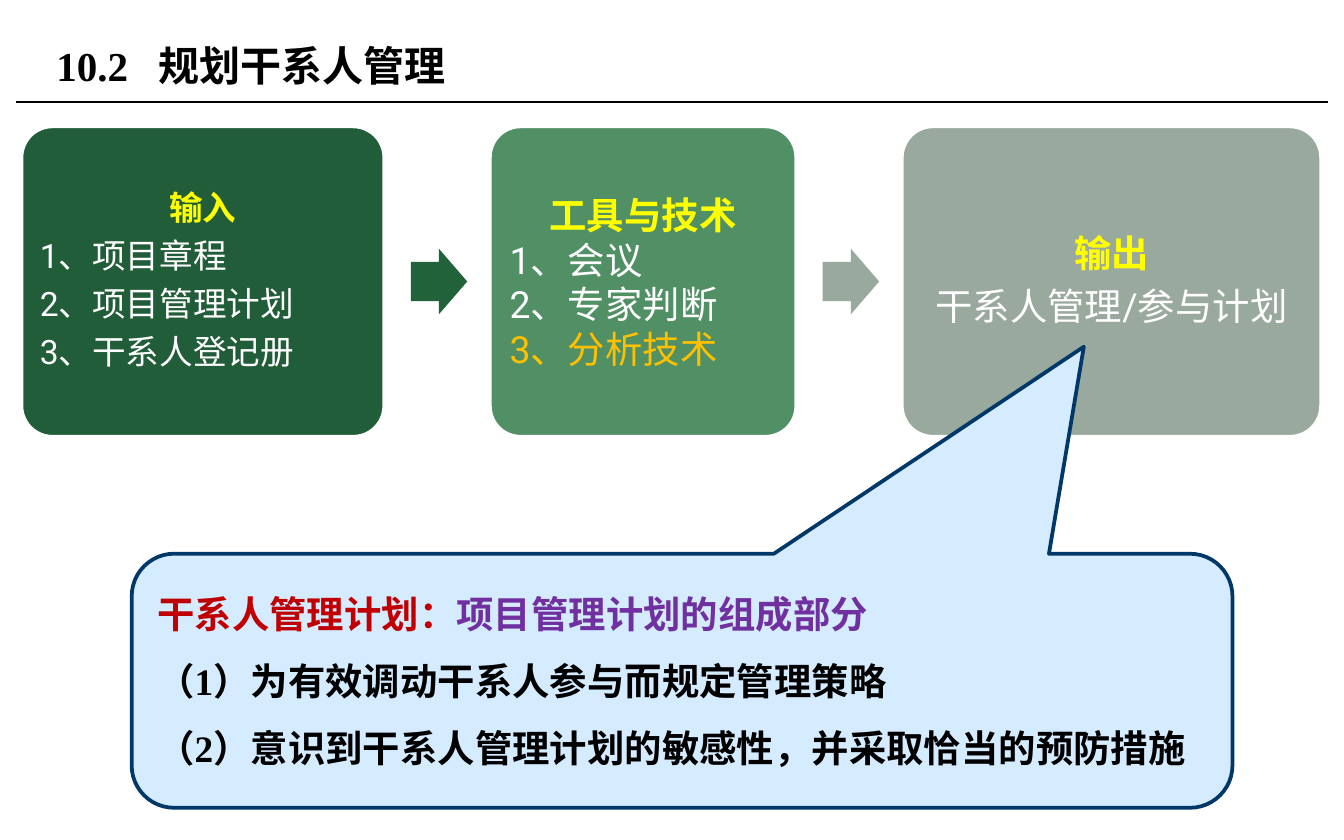
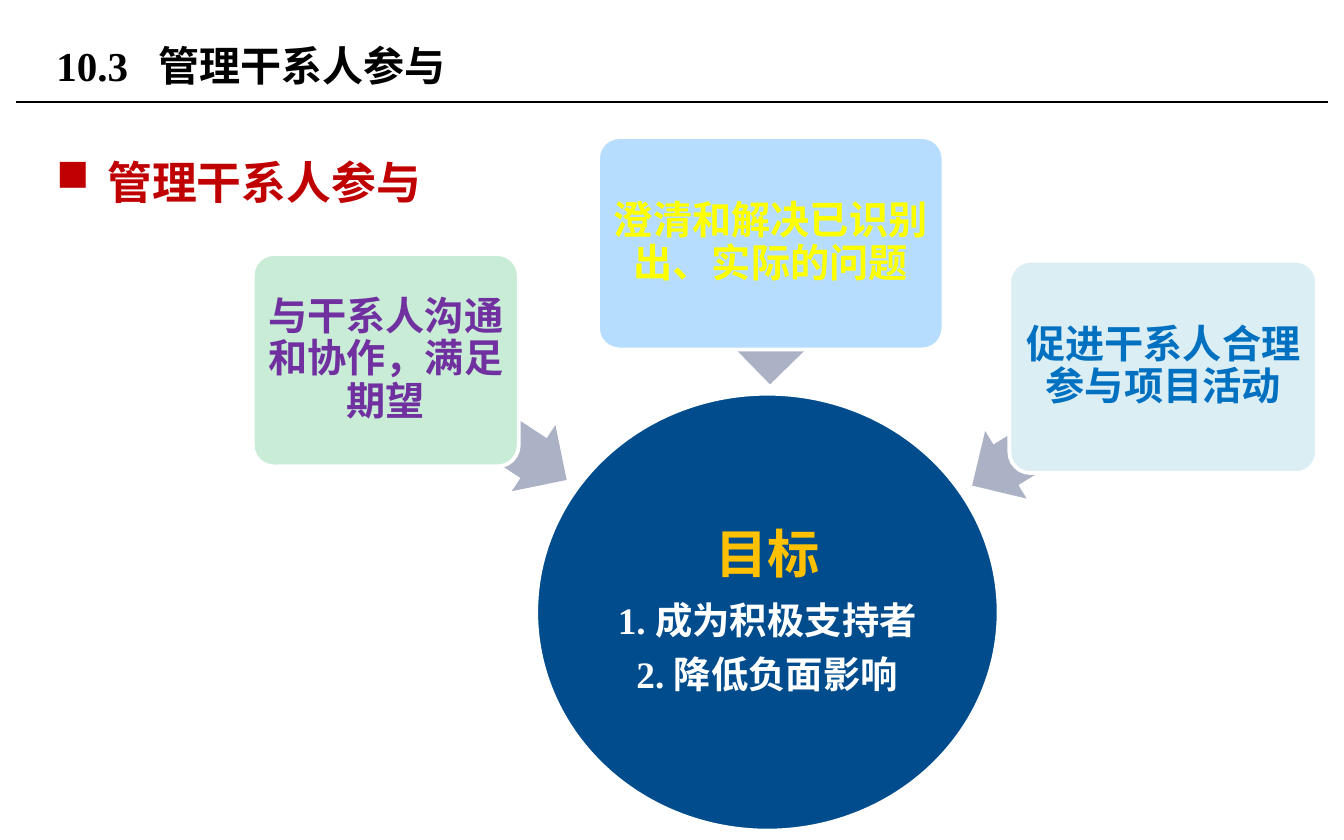
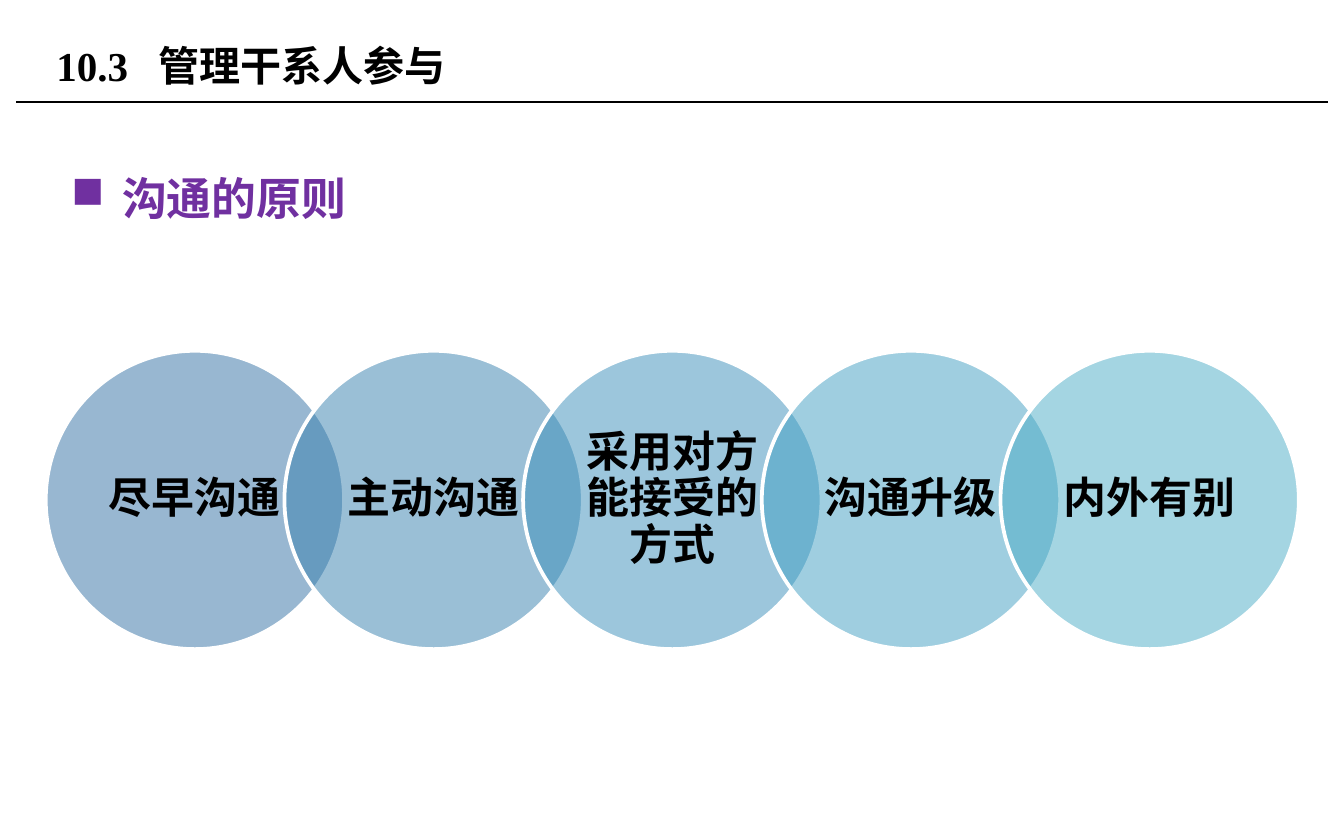
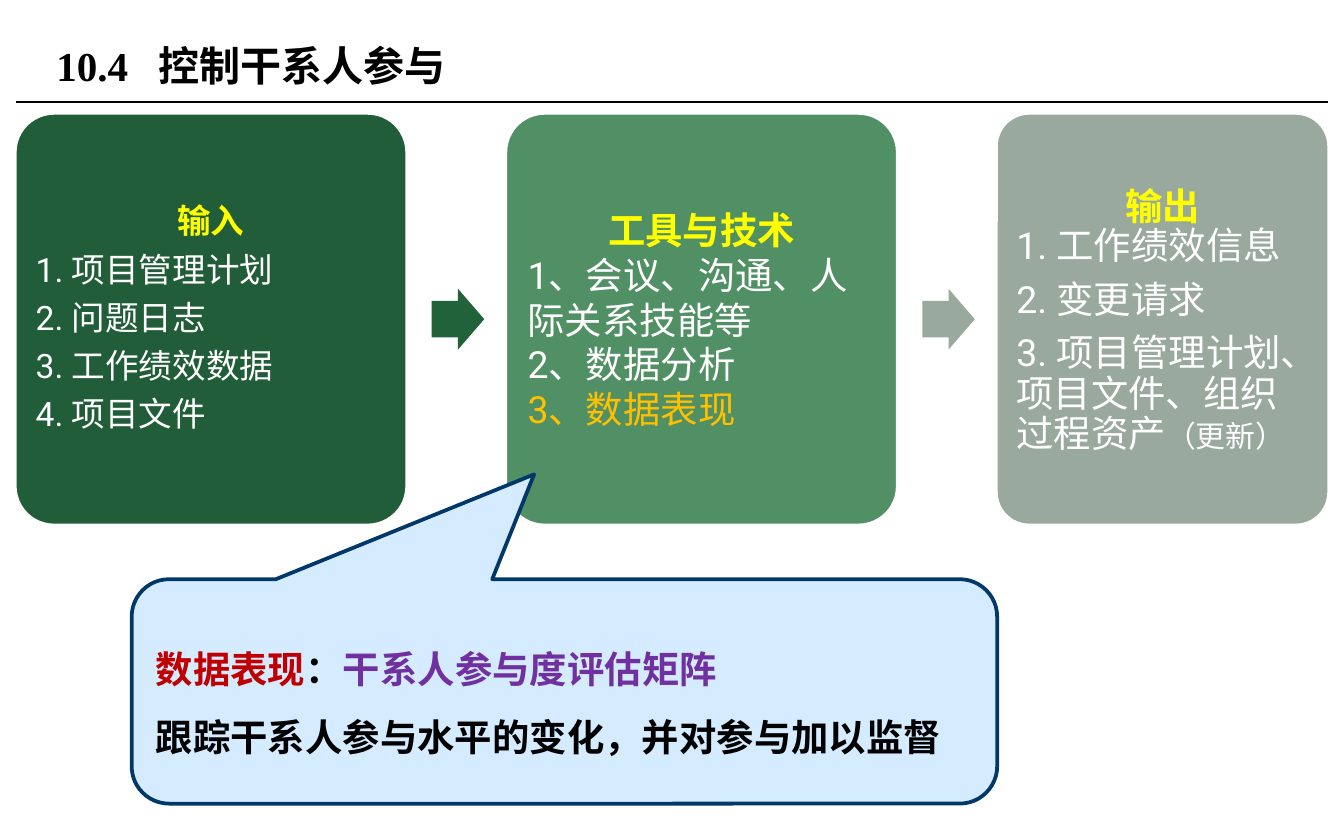
"""Build four slides on stakeholder management: process panels, goals and principles."""
from dataclasses import dataclass
from typing import Optional, Union

from lxml.etree import SubElement
from pptx import Presentation
from pptx.dml.color import RGBColor
from pptx.enum.shapes import MSO_CONNECTOR, MSO_SHAPE
from pptx.enum.text import MSO_ANCHOR, PP_ALIGN
from pptx.oxml.ns import qn
from pptx.util import Inches, Pt

BLACK = RGBColor(0x00, 0x00, 0x00)
WHITE = RGBColor(0xFF, 0xFF, 0xFF)
YELLOW = RGBColor(0xFF, 0xFF, 0x00)
AMBER = RGBColor(0xFF, 0xC0, 0x00)
RED = RGBColor(0xC0, 0x00, 0x00)
PURPLE = RGBColor(0x70, 0x30, 0xA0)
BLUE = RGBColor(0x00, 0x70, 0xC0)
NAVY = RGBColor(0x01, 0x38, 0x68)
GOAL_BLUE = RGBColor(0x01, 0x4C, 0x8D)
CALLOUT_BLUE = RGBColor(0xD5, 0xEB, 0xFF)
ARROW_GREY = RGBColor(0xAB, 0xB2, 0xC5)
MINT = RGBColor(0xC8, 0xEC, 0xD6)
SKY = RGBColor(0xB6, 0xDD, 0xFE)
ICE = RGBColor(0xDB, 0xEE, 0xF4)
PANEL_FILLS = [RGBColor(0x21, 0x5D, 0x38), RGBColor(0x51, 0x90, 0x65), RGBColor(0x9A, 0xA9, 0x9E)]
STEP_FILLS = [RGBColor(0x22, 0x62, 0x3B), RGBColor(0x99, 0xA9, 0x9D)]
CIRCLE_FILLS = [
    RGBColor(0x33, 0x71, 0xA4), RGBColor(0x37, 0x80, 0xAF), RGBColor(0x3A, 0x8F, 0xBA),
    RGBColor(0x40, 0x9F, 0xC3), RGBColor(0x4B, 0xAC, 0xC6),
]
SANS = "Roboto"
SERIF = "Times New Roman"
SPACE_RATIO = 0.35


@dataclass
class Run:
    """A stretch of text that differs from its paragraph."""
    text: str
    color: Optional[RGBColor] = None
    size: Optional[float] = None
    font: Optional[str] = None


@dataclass
class Line:
    """A paragraph with its font and spacing."""
    content: Union[str, list]
    size: float
    color: RGBColor
    font: str = SANS
    bold: bool = False
    centered: bool = False
    spacing: float = 1.0
    after: float = 0


def tight(content, size, color, **options):
    """Return a line with the narrow spacing of the diagrams."""
    return Line(content, size, color, spacing=0.9, after=SPACE_RATIO * size, **options)


def heading(text, size, make=tight):
    """Return the yellow heading of a panel."""
    return make(text, size, YELLOW, bold=True, centered=True)


def style_font(font, name=None, size=None, color=None):
    """Set the given parts of a font."""
    if name:
        font.name = name
    if size:
        font.size = Pt(size)
    if color is not None:
        font.color.rgb = color


def write_lines(frame, lines):
    """Fill a text frame with lines."""
    frame.word_wrap = True
    for index, line in enumerate(lines):
        paragraph = frame.add_paragraph() if index else frame.paragraphs[0]
        paragraph.alignment = PP_ALIGN.CENTER if line.centered else PP_ALIGN.LEFT
        paragraph.line_spacing = line.spacing
        paragraph.space_after = Pt(line.after)
        style_font(paragraph.font, line.font, line.size, line.color)
        paragraph.font.bold = line.bold
        runs = [Run(line.content)] if isinstance(line.content, str) else line.content
        for part in runs:
            run = paragraph.add_run()
            run.text = part.text
            style_font(run.font, part.font, part.size, part.color)


def add_block(slide, kind, box, fill, line_color=WHITE, adjustments=(), lines=(), margins=None):
    """Add a filled preset shape, with text if lines are given."""
    shape = slide.shapes.add_shape(kind, *map(Inches, box))
    shape.shadow.inherit = False
    shape.fill.solid()
    shape.fill.fore_color.rgb = fill
    if line_color is None:
        shape.line.fill.background()
    else:
        shape.line.color.rgb = line_color
        shape.line.width = Pt(2)
    for index, value in enumerate(adjustments):
        shape.adjustments[index] = value
    if lines:
        frame = shape.text_frame
        frame.vertical_anchor = MSO_ANCHOR.MIDDLE
        if margins:
            horizontal, vertical = map(Inches, margins)
            frame.margin_left = frame.margin_right = horizontal
            frame.margin_top = frame.margin_bottom = vertical
        write_lines(frame, lines)
    return shape


def add_titled_slide(presentation, number, name):
    """Add a slide with its numbered title and the rule below it."""
    slide = presentation.slides.add_slide(presentation.slide_layouts[5])
    rule = slide.shapes.add_connector(
        MSO_CONNECTOR.STRAIGHT, Inches(0.12), Inches(0.76), Inches(9.88), Inches(0.76))
    rule.line.color.rgb = BLACK
    rule.line.width = Pt(0.75)
    SubElement(rule._element.spPr, qn("a:effectLst"))
    title = slide.shapes.title
    title.left, title.top, title.width, title.height = map(Inches, (0.32, 0.13, 7.28, 0.71))
    title.text_frame.vertical_anchor = MSO_ANCHOR.MIDDLE
    properties = title.text_frame.paragraphs[0]._p.get_or_add_pPr()
    tabs = SubElement(properties, qn("a:tabLst"))
    SubElement(tabs, qn("a:tab"), pos=str(Inches(0.76)), algn="l")
    write_lines(title.text_frame, [Line(f"{number}\t{name}", 22, BLACK, SERIF, bold=True)])
    return slide


def add_bullet_heading(slide, left, top, text, color):
    """Add a heading with a square bullet."""
    box = slide.shapes.add_textbox(Inches(left), Inches(top), Inches(8.98), Inches(3.9))
    properties = box.text_frame.paragraphs[0]._p.get_or_add_pPr()
    properties.set("marL", str(Inches(0.38)))
    properties.set("indent", str(Inches(-0.38)))
    SubElement(properties, qn("a:buChar"), char="■")
    write_lines(box.text_frame, [Line(text, 24, color, SERIF, bold=True, spacing=1.5)])


def add_process(slide, left, top, height, gap, widths, panels):
    """Add a row of panels with an arrow in each gap."""
    for index, (width, lines) in enumerate(zip(widths, panels)):
        margin = 0.08 if index else 0.07
        add_block(slide, MSO_SHAPE.ROUNDED_RECTANGLE, (left, top, width, height),
                  PANEL_FILLS[index], adjustments=[0.1], lines=lines, margins=(margin, margin))
        left += width
        if index < len(STEP_FILLS):
            arrow_height = 0.62 * gap
            arrow_top = top + (height - arrow_height) / 2
            add_block(slide, MSO_SHAPE.RIGHT_ARROW,
                      (left + gap / 4, arrow_top, 0.535 * gap, arrow_height),
                      STEP_FILLS[index], None, [0.6, 0.5])
        left += gap


def add_callout(slide, box, pointer, lines):
    """Add a pale callout whose pointer is given relative to its size."""
    add_block(slide, MSO_SHAPE.ROUNDED_RECTANGULAR_CALLOUT, box, CALLOUT_BLUE, NAVY,
              [*pointer, 0.167], lines)


def build_planning(presentation):
    """Build the slide on planning stakeholder management."""
    slide = add_titled_slide(presentation, "10.2", "规划干系人管理")
    inputs = ["1、项目章程", "2、项目管理计划", "3、干系人登记册"]
    add_process(slide, 0.16, 0.94, 2.31, 0.785, [2.7, 2.28, 3.12], [
        [heading("输入", 18)] + [tight(text, 18, WHITE) for text in inputs],
        [heading("工具与技术", 20, Line), Line("1、会议", 20, WHITE),
         Line("2、专家判断", 20, WHITE), Line("3、分析技术", 20, AMBER)],
        [heading("输出", 20), tight("干系人管理/参与计划", 20, WHITE, centered=True)],
    ])
    plan = [Run("干系人管理计划：", RED, font=SANS), Run("项目管理计划的组成部分", PURPLE)]
    contents = [plan, "（1）为有效调动干系人参与而规定管理策略",
                "（2）意识到干系人管理计划的敏感性，并采取恰当的预防措施"]
    add_callout(slide, (0.98, 4.12, 8.19, 1.89), (0.365, -1.315),
                [Line(content, 20, BLACK, SERIF, bold=True, after=12) for content in contents])


def build_goals(presentation):
    """Build the slide on the goals of managing engagement."""
    slide = add_titled_slide(presentation, "10.3", "管理干系人参与")
    add_bullet_heading(slide, 0.32, 0.9, "管理干系人参与", RED)
    goals = [("目标", 28, AMBER), ("1. 成为积极支持者", 20, WHITE), ("2. 降低负面影响", 20, WHITE)]
    add_block(slide, MSO_SHAPE.OVAL, (3.99, 2.93, 3.44, 3.25), GOAL_BLUE,
              lines=[tight(*goal, font=SERIF, bold=True, centered=True) for goal in goals],
              margins=(0.02, 0.02))
    actions = [
        ((2.73, 2.83, 1.62), 213.4, (1.88, 1.89, 1.98), MINT, "与干系人沟通和协作，满足期望", PURPLE),
        ((5.21, 2.04, 1.05), 270.6, (4.45, 1.02, 2.57), SKY, "澄清和解决已识别出、实际的问题", YELLOW),
        ((7.11, 2.88, 1.67), 328.4, (7.51, 1.94, 2.29), ICE, "促进干系人合理参与项目活动", BLUE),
    ]
    for arrow_box, rotation, card_box, fill, text, color in actions:
        arrow = add_block(slide, MSO_SHAPE.LEFT_ARROW, (*arrow_box, 0.59), ARROW_GREY, None,
                          [0.6, 0.5])
        arrow.rotation = rotation
        add_block(slide, MSO_SHAPE.ROUNDED_RECTANGLE, (*card_box, 1.58), fill,
                  adjustments=[0.1], margins=(0.04, 0.04),
                  lines=[tight(text, 21, color, font=SERIF, bold=True, centered=True)])


def build_principles(presentation):
    """Build the slide with the row of overlapping principles."""
    slide = add_titled_slide(presentation, "10.3", "管理干系人参与")
    add_bullet_heading(slide, 0.43, 1.02, "沟通的原则", PURPLE)
    principles = ["尽早沟通", "主动沟通", "采用对方能接受的方式", "沟通升级", "内外有别"]
    diameter = 2.22
    for index, (text, fill) in enumerate(zip(principles, CIRCLE_FILLS)):
        circle = add_block(slide, MSO_SHAPE.OVAL,
                           (0.34 + index * 0.8 * diameter, 2.61, diameter, diameter), fill,
                           lines=[tight(text, 23, BLACK, bold=True, centered=True)],
                           margins=(0.12, 0.03))
        color = circle._element.spPr.find(qn("a:solidFill"))[0]
        SubElement(color, qn("a:alpha"), val="50000")


def build_control(presentation):
    """Build the slide on controlling engagement."""
    slide = add_titled_slide(presentation, "10.4", "控制干系人参与")
    inputs = ["1. 项目管理计划", "2. 问题日志", "3. 工作绩效数据", "4. 项目文件"]
    updates = [Run("3. 项目管理计划、项目文件、组织过程资产"), Run("（更新）", size=16)]
    outputs = ["1. 工作绩效信息", "2. 变更请求", updates]
    add_process(slide, 0.11, 0.84, 3.07, 0.73, [2.92, 2.92, 2.48], [
        [heading("输入", 18)] + [tight(text, 18, WHITE) for text in inputs],
        [heading("工具与技术", 20, Line), Line("1、会议、沟通、人际关系技能等", 20, WHITE),
         Line("2、数据分析", 20, WHITE), Line("3、数据表现", 20, AMBER)],
        [heading("输出", 20, Line)] + [tight(content, 20, WHITE) for content in outputs],
    ])
    matrix = [Run("数据表现", RED), Run("："), Run("干系人参与度评估矩阵", PURPLE)]
    contents = [matrix, "跟踪干系人参与水平的变化，并对参与加以监督"]
    add_callout(slide, (0.98, 4.31, 6.44, 1.67), (-0.035, -0.967),
                [Line(content, 20, BLACK, SERIF, bold=True, spacing=1.5) for content in contents])


def main():
    """Build and save the presentation."""
    presentation = Presentation()
    presentation.slide_width = Inches(10)
    presentation.slide_height = Inches(6.25)
    build_planning(presentation)
    build_goals(presentation)
    build_principles(presentation)
    build_control(presentation)
    presentation.save("out.pptx")


if __name__ == "__main__":
    main()
